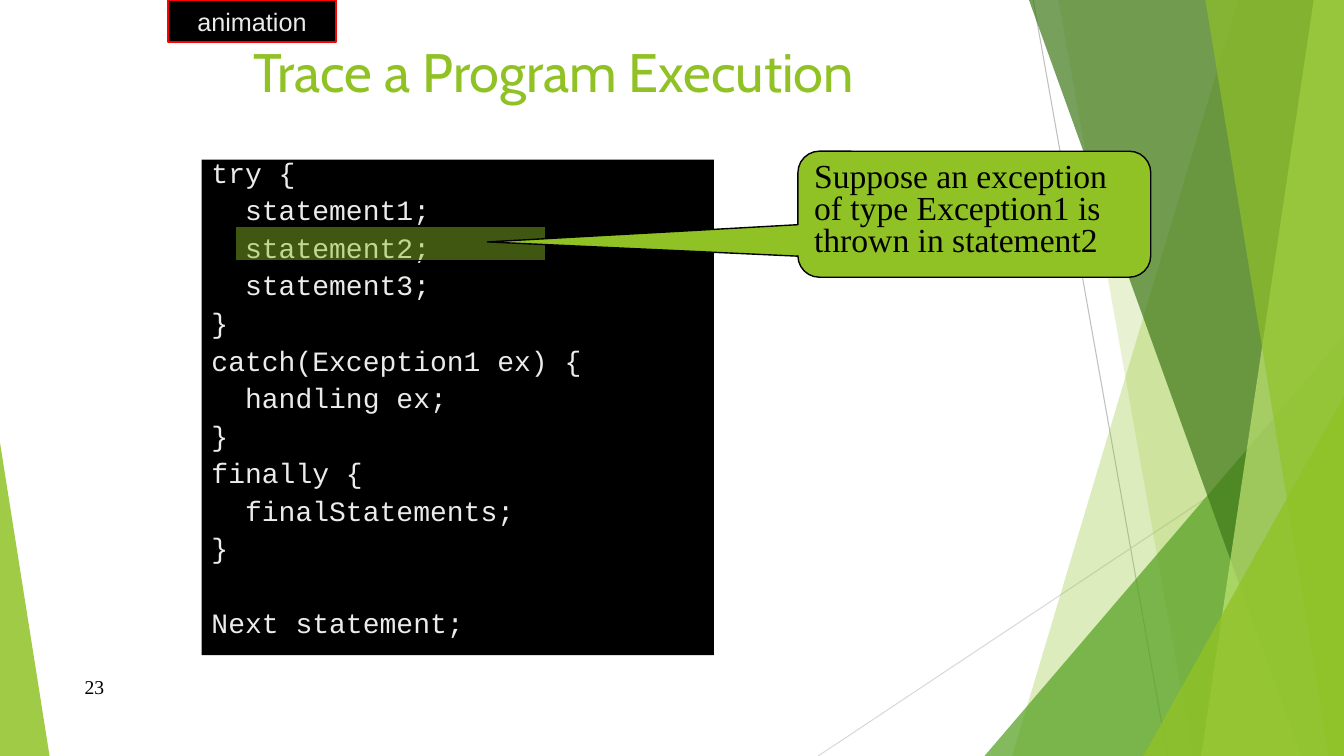
"""Build the slide that traces an exception through try, catch and finally."""
import pptx
import pptx.dml.color
import pptx.enum.shapes
import pptx.enum.text
import pptx.oxml.ns
import pptx.oxml.xmlchemy
import pptx.util

COLUMNS, ROWS = 160, 90
UNIT = pptx.util.Inches(1 / 12)
COLORS = {
    "green": "90C226", "leaf": "54A021", "forest": "3F7819", "lime": "C0E474",
    "black": "000000", "red": "FF0000", "pale": "EBEBEB",
    "gray": "BFBFBF", "light gray": "D9D9D9",
}
SHAPES = pptx.enum.shapes.MSO_SHAPE
ANCHOR = pptx.enum.text.MSO_ANCHOR
ALIGN = pptx.enum.text.PP_ALIGN

CODE = """try {
  statement1;
  statement2;
  statement3;
}
catch(Exception1 ex) {
  handling ex;
}
finally {
  finalStatements;
}"""


def grid(*lengths):
    return [round(length * UNIT) for length in lengths]


def color(name):
    return pptx.dml.color.RGBColor.from_string(COLORS[name])


def paint(shape, fill, opacity=100, line=None):
    shape.shadow.inherit = False
    shape.fill.solid()
    shape.fill.fore_color.rgb = color(fill)
    if opacity < 100:
        tint = shape._element.spPr.find(".//" + pptx.oxml.ns.qn("a:srgbClr"))
        alpha = pptx.oxml.xmlchemy.OxmlElement("a:alpha")
        alpha.set("val", str(opacity * 1000))
        tint.append(alpha)
    if line:
        shape.line.color.rgb = color(line)
        shape.line.width = pptx.util.Pt(1)
    else:
        shape.line.fill.background()


def add_shape(page, kind, area, fill, adjust=(), **look):
    shape = page.shapes.add_shape(kind, *grid(*area))
    for index, value in enumerate(adjust):
        shape.adjustments[index] = value
    paint(shape, fill, **look)
    return shape


def add_band(page, top_left, top_right, bottom_left, fill, opacity):
    corners = [(top_left, 0), (top_right, 0), (COLUMNS, ROWS), (bottom_left, ROWS)]
    start, *others = [grid(*corner) for corner in corners]
    builder = page.shapes.build_freeform(*start)
    builder.add_line_segments(others, close=True)
    paint(builder.convert_to_shape(), fill, opacity)


def add_ray(page, start, end, tone):
    ray = page.shapes.add_connector(
        pptx.enum.shapes.MSO_CONNECTOR.STRAIGHT, *grid(*start, *end))
    ray.line.color.rgb = color(tone)
    ray.line.width = pptx.util.Pt(0.75)
    ray._element.spPr.append(pptx.oxml.xmlchemy.OxmlElement("a:effectLst"))


def add_textbox(page, area):
    return page.shapes.add_textbox(*grid(*area))


def write(box, text, font, size, tone="black", align=ALIGN.LEFT, anchor=ANCHOR.TOP,
          wrap=True, spacing=None, before=0, hanging=0):
    frame = box.text_frame
    frame.word_wrap = wrap
    frame.vertical_anchor = anchor
    for index, line in enumerate(text.splitlines()):
        para = frame.add_paragraph() if index else frame.paragraphs[0]
        if hanging:
            indent = para._p.get_or_add_pPr()
            indent.set("marL", str(pptx.util.Inches(hanging)))
            indent.set("indent", str(-pptx.util.Inches(hanging)))
        para.alignment = align
        para.line_spacing = spacing
        para.space_before = pptx.util.Pt(before if index else 0)
        span = para.add_run()
        span.text = line
        span.font.name = font
        span.font.size = pptx.util.Pt(size)
        span.font.color.rgb = color(tone)
    return para


def add_backdrop(page):
    add_ray(page, (123, 0), (139, ROWS), "gray")
    add_ray(page, (COLUMNS, 48.4), (97.4, ROWS), "light gray")
    add_band(page, 147.4, COLUMNS, 120.5, "green", 30)
    add_band(page, 126, COLUMNS, 142, "green", 20)
    add_shape(page, SHAPES.ISOSCELES_TRIANGLE, (117.2, 40, 42.8, 50), "leaf",
              adjust=[1], opacity=72)
    add_band(page, 122.5, COLUMNS, 154.9, "forest", 70)
    add_band(page, 156.4, COLUMNS, 143, "lime", 70)
    add_band(page, 143.5, COLUMNS, 158.2, "green", 65)
    add_shape(page, SHAPES.ISOSCELES_TRIANGLE, (136.1, 47.2, 23.9, 42.8), "green",
              adjust=[1], opacity=80)
    add_shape(page, SHAPES.ISOSCELES_TRIANGLE, (0, 52.7, 5.9, 37.3), "green",
              adjust=[0], opacity=85)


def add_code(page):
    panel = add_shape(page, SHAPES.RECTANGLE, (24, 19, 61, 59), "black")
    last = write(panel, CODE + "\nNext statement;", "Courier New", 20, tone="pale",
                 spacing=0.7, before=10, hanging=0.38)
    last.space_before = pptx.util.Pt(36.5)
    add_shape(page, SHAPES.RECTANGLE, (28, 27, 37, 4), "green",
              opacity=45, line="black")


def main():
    deck = pptx.Presentation()
    deck.slide_width, deck.slide_height = grid(COLUMNS, ROWS)
    page = deck.slides.add_slide(deck.slide_layouts[6])
    add_backdrop(page)
    write(add_textbox(page, (8.9, 79.3, 82.7, 4.8)), "23", "Times New Roman", 14,
          anchor=ANCHOR.MIDDLE)
    write(add_textbox(page, (29, 4, 102, 7)), "Trace a Program Execution",
          "Cabin", 38.7, tone="green")
    badge = add_shape(page, SHAPES.RECTANGLE, (20, 0, 20, 5), "black", line="red")
    write(badge, "animation", "Arial", 18, tone="pale", align=ALIGN.CENTER,
          anchor=ANCHOR.MIDDLE, wrap=False)
    add_code(page)
    callout = add_shape(page, SHAPES.ROUNDED_RECTANGULAR_CALLOUT, (95, 18, 42, 15),
                        "green", adjust=[-1.38, 0.22, 0.17], line="black")
    write(callout, "Suppose an exception of type Exception1 is thrown in statement2",
          "Times New Roman", 24, spacing=0.8)
    deck.save("out.pptx")


if __name__ == "__main__":
    main()
